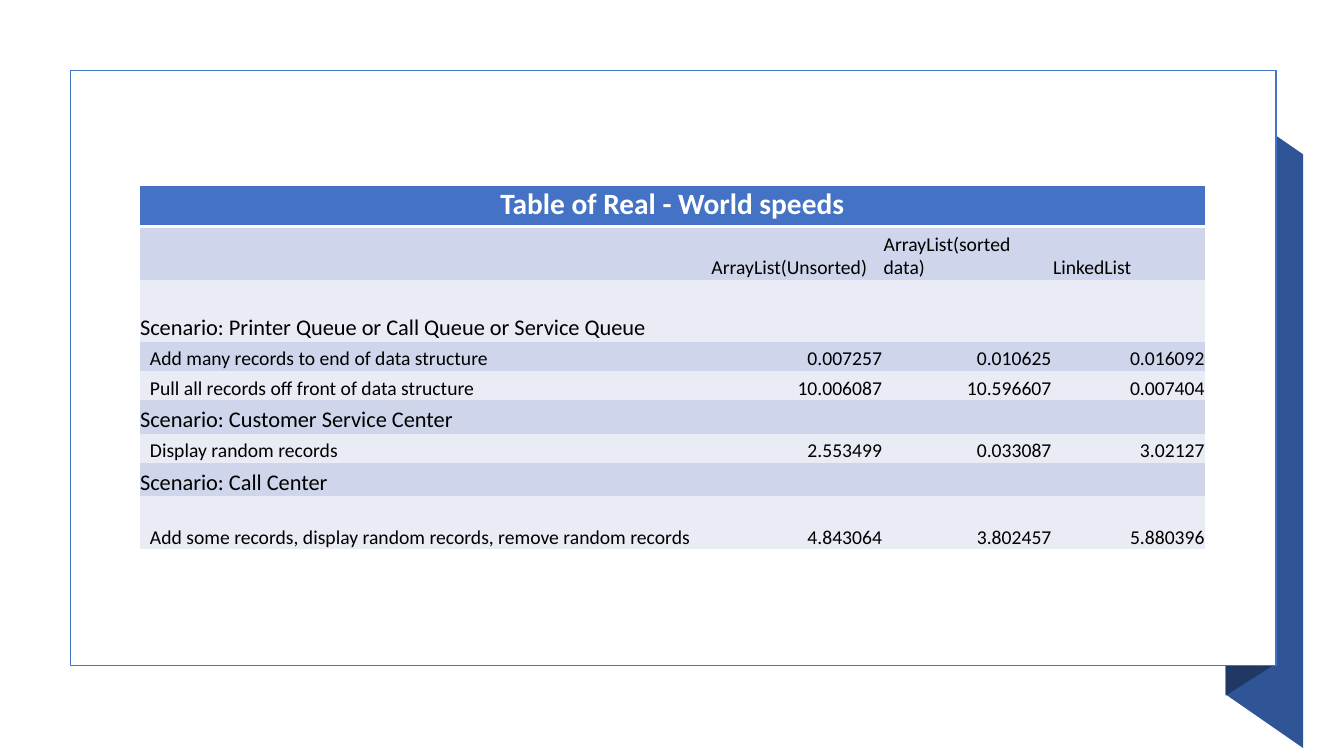
from lxml.etree import SubElement
from pptx import Presentation
from pptx.dml.color import RGBColor
from pptx.enum.shapes import MSO_SHAPE
from pptx.enum.text import MSO_ANCHOR, PP_ALIGN
from pptx.oxml.ns import qn
from pptx.util import Cm, Pt

COLORS = {
    "white": "FFFFFF", "black": "000000", "blue": "4472C4",
    "ribbon": "2F5597", "fold": "203864",
    "band_dark": "CFD5EA", "band_light": "E9EBF5",
}
FONT = "Calibri"
NO_STYLE = "{2D5ABB26-0587-4C30-8999-92F81FD0307C}"

# Each row: kind, height in cm, cell texts
ROWS = [
    ("title", 1.04, ["Table of Real - World speeds"]),
    ("header", 1.35, ["", "ArrayList(Unsorted)", "ArrayList(sorted data)", "LinkedList"]),
    ("scenario", 1.55, ["Scenario: Printer Queue or Call Queue or Service Queue"]),
    ("task", 0.74, ["Add many records to end of data structure",
                    "0.007257", "0.010625", "0.016092"]),
    ("task", 0.74, ["Pull all records off front of data structure",
                    "10.006087", "10.596607", "0.007404"]),
    ("scenario", 0.84, ["Scenario: Customer Service Center"]),
    ("task", 0.74, ["Display random records", "2.553499", "0.033087", "3.02127"]),
    ("scenario", 0.84, ["Scenario: Call Center"]),
    ("task", 1.35, ["Add some records, display random records, remove random records",
                    "4.843064", "3.802457", "5.880396"]),
]
TEXT_SIZES = {"title": 21, "header": 14, "scenario": 16, "task": 14}
COLUMN_WIDTHS = [14.4, 4.34, 4.27, 3.86]
TABLE_LEFT, TABLE_TOP = 3.51, 4.67
INSET, TASK_INDENT = 0.02, 0.27

RIBBON = [(32.84, 18.85), (30.89, 17.5), (30.89, 2.54), (32.84, 3.89)]
FOLD = [(32.05, 16.79), (30.89, 17.53), (30.89, 2.54), (32.05, 1.78)]
CARD = (1.78, 1.78, 30.38, 14.99)


def rgb(name):
    return RGBColor.from_string(COLORS[name])


def add_polygon(slide, points, color):
    start, *others = [(Cm(x), Cm(y)) for x, y in points]
    builder = slide.shapes.build_freeform(*start)
    builder.add_line_segments(others, close=True)
    polygon = builder.convert_to_shape()
    polygon.shadow.inherit = False
    polygon.fill.solid()
    polygon.fill.fore_color.rgb = rgb(color)
    polygon.line.fill.background()


def add_card(slide):
    card = slide.shapes.add_shape(MSO_SHAPE.RECTANGLE, *map(Cm, CARD))
    card.shadow.inherit = False
    card.fill.solid()
    card.fill.fore_color.rgb = rgb("white")
    card.line.color.rgb = rgb("blue")
    card.line.width = Pt(1)


def write(cell, text, size, color="black", bold=False, align=PP_ALIGN.LEFT):
    paragraph = cell.text_frame.paragraphs[0]
    paragraph.alignment = align
    if not text:
        # The end mark's size keeps an empty cell from stretching its row
        SubElement(paragraph._p, qn("a:endParaRPr"), sz=str(size * 100))
        return
    run = paragraph.add_run()
    run.text = text
    run.font.name = FONT
    run.font.size = Pt(size)
    run.font.bold = bold
    run.font.color.rgb = rgb(color)


def add_borders(cell, widths):
    """Draw white borders; widths maps a side (L, R, T, B) to points."""
    properties = cell._tc.get_or_add_tcPr()
    for side in "LRTB":
        if side in widths:
            border = SubElement(properties, qn(f"a:ln{side}"), w=str(Pt(widths[side])))
            fill = SubElement(border, qn("a:solidFill"))
            SubElement(fill, qn("a:srgbClr"), val=COLORS["white"])


def outer_borders(row, column):
    widths = {}
    if column == 0:
        widths["L"] = 1
    if column == len(COLUMN_WIDTHS) - 1:
        widths["R"] = 1
    if row == 0:
        widths.update(T=1, B=3)
    if row == len(ROWS) - 1:
        widths["B"] = 1
    return widths


def fill_cell(cell, row, column, kind, text):
    is_title = kind == "title"
    is_task_name = kind == "task" and column == 0
    cell.margin_left = Cm(TASK_INDENT if is_task_name else INSET)
    cell.margin_right = cell.margin_top = Cm(INSET)
    cell.margin_bottom = 0
    cell.vertical_anchor = MSO_ANCHOR.TOP if is_title else MSO_ANCHOR.BOTTOM
    add_borders(cell, outer_borders(row, column))
    band = "band_dark" if row % 2 else "band_light"
    cell.fill.solid()
    cell.fill.fore_color.rgb = rgb("blue" if is_title else band)

    if is_title:
        align = PP_ALIGN.CENTER
    elif kind == "task" and column > 0:
        align = PP_ALIGN.RIGHT
    else:
        align = PP_ALIGN.LEFT
    write(cell, text, TEXT_SIZES[kind], color="white" if is_title else "black",
          bold=is_title, align=align)


def add_speed_table(slide):
    heights = [height for _, height, _ in ROWS]
    frame = slide.shapes.add_table(
        len(ROWS), len(COLUMN_WIDTHS), Cm(TABLE_LEFT), Cm(TABLE_TOP),
        Cm(sum(COLUMN_WIDTHS)), Cm(sum(heights)))
    next(frame.element.iter(qn("a:tableStyleId"))).text = NO_STYLE
    speeds = frame.table
    for column, width in zip(speeds.columns, COLUMN_WIDTHS):
        column.width = Cm(width)
    for row, (kind, height, texts) in enumerate(ROWS):
        speeds.rows[row].height = Cm(height)
        for column in range(len(COLUMN_WIDTHS)):
            text = texts[column] if column < len(texts) else ""
            fill_cell(speeds.cell(row, column), row, column, kind, text)
    speeds.cell(0, 0).merge(speeds.cell(0, len(COLUMN_WIDTHS) - 1))


def main():
    presentation = Presentation()
    presentation.slide_width, presentation.slide_height = Cm(33.87), Cm(19.05)
    slide = presentation.slides.add_slide(presentation.slide_layouts[6])
    add_polygon(slide, RIBBON, "ribbon")
    add_polygon(slide, FOLD, "fold")
    add_card(slide)
    add_speed_table(slide)
    presentation.save("out.pptx")


if __name__ == "__main__":
    main()
